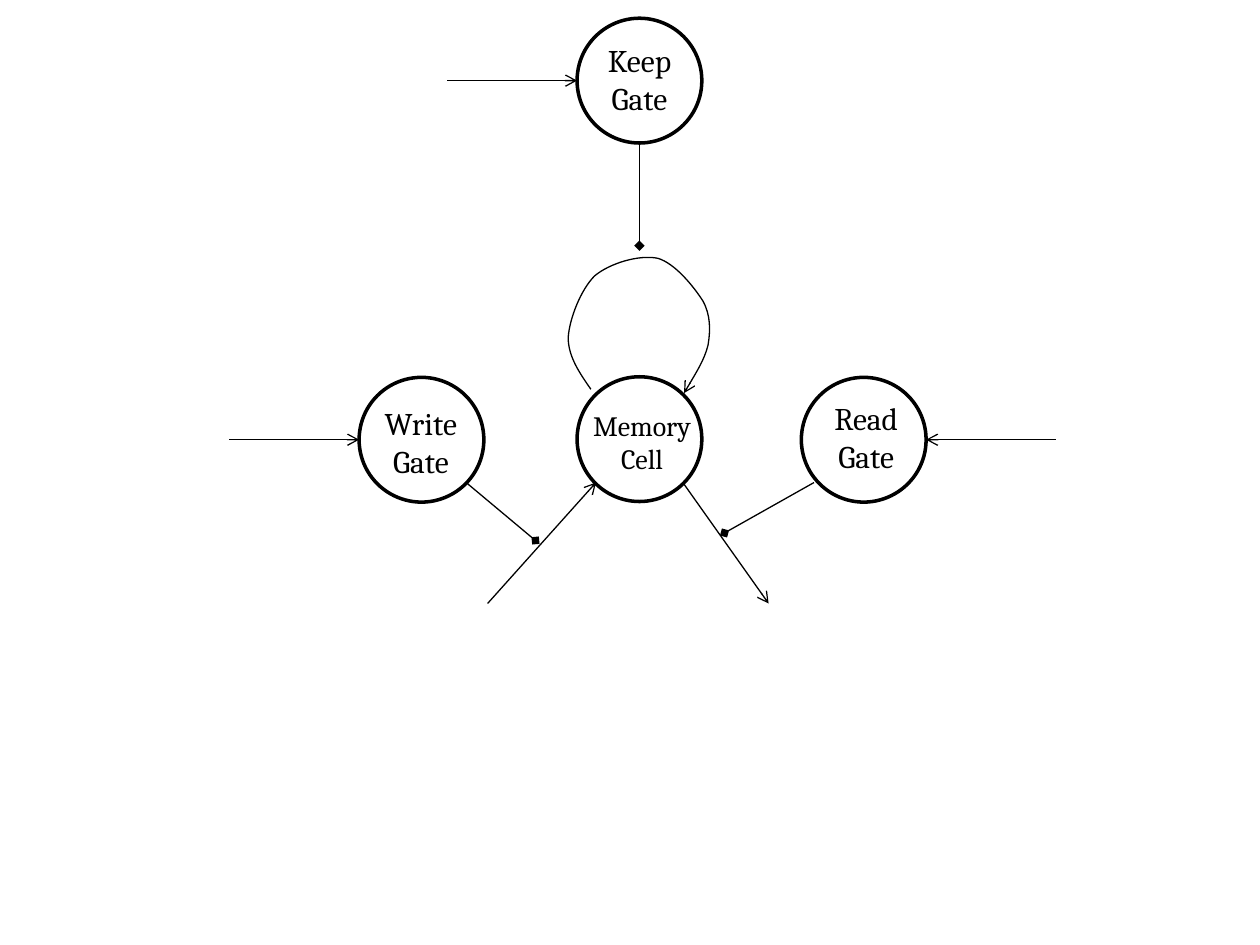
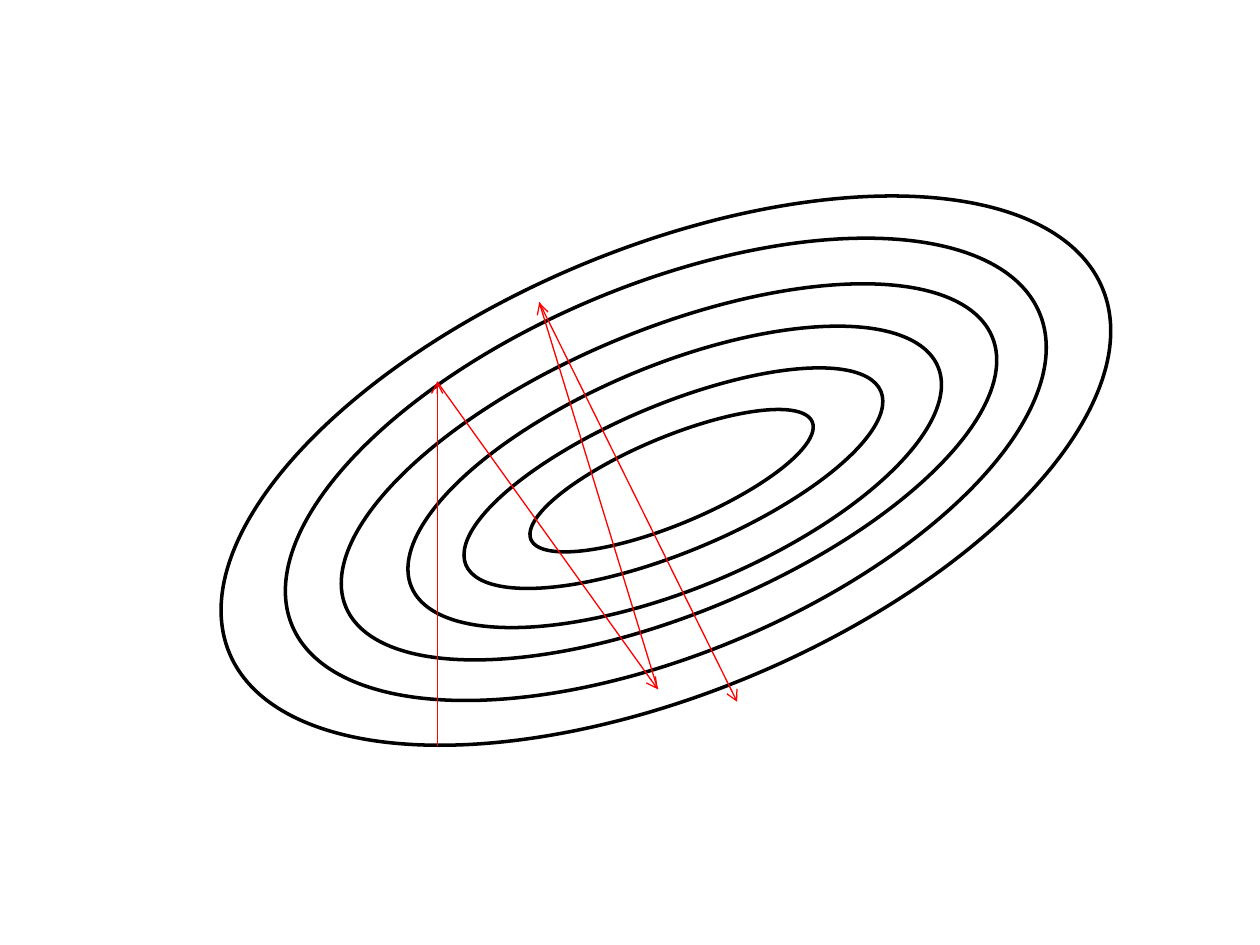
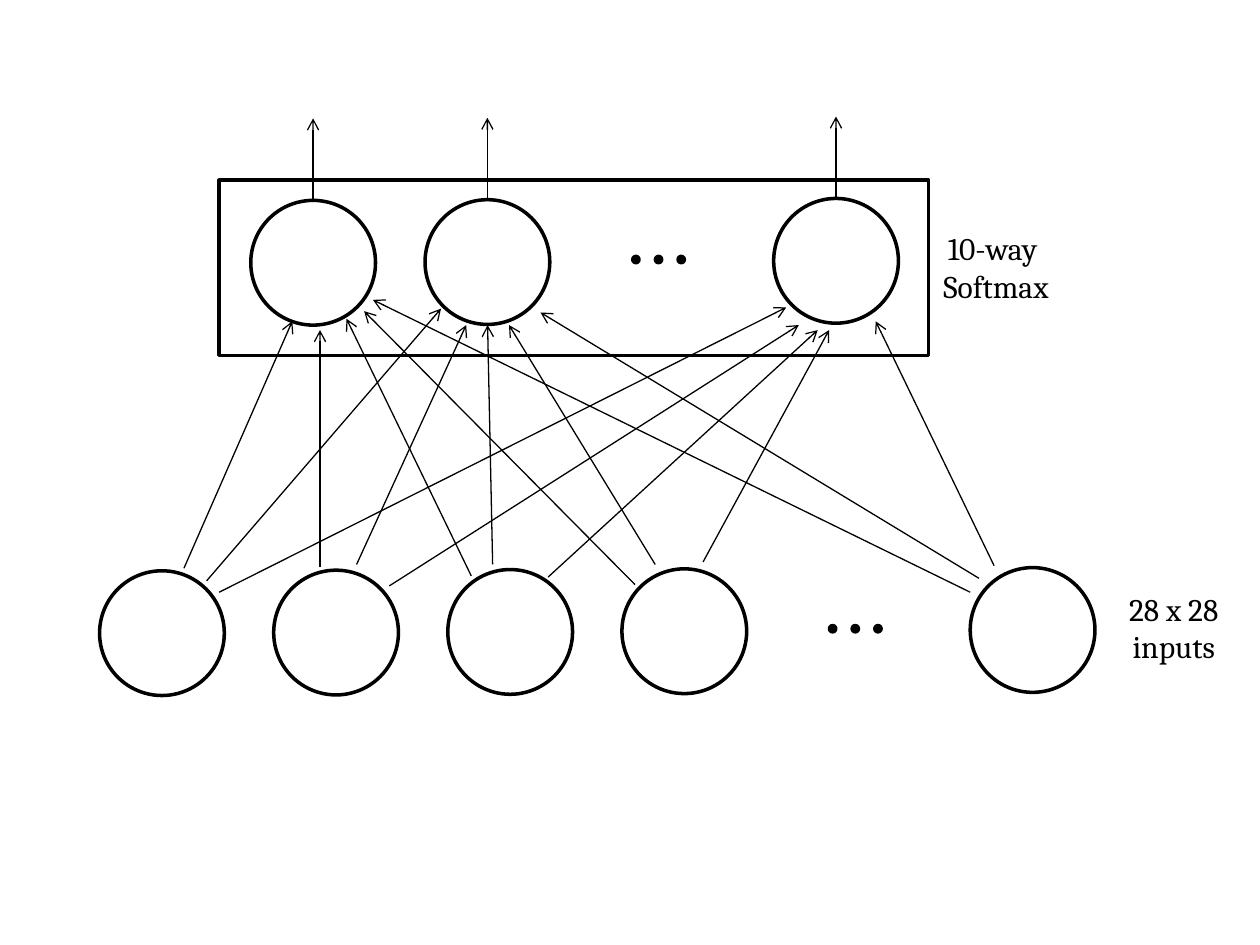
from dataclasses import dataclass
from itertools import pairwise

from lxml.etree import SubElement
from pptx import Presentation
from pptx.dml.color import RGBColor
from pptx.enum.shapes import MSO_CONNECTOR, MSO_SHAPE
from pptx.enum.text import MSO_AUTO_SIZE, PP_ALIGN
from pptx.oxml.ns import qn
from pptx.util import Emu, Inches, Pt

BLACK = RGBColor(0x00, 0x00, 0x00)
WHITE = RGBColor(0xFF, 0xFF, 0xFF)
RED = RGBColor(0xFF, 0x00, 0x00)
FONT = "Cambria"

# The slide is a grid of 100 columns and 75 rows; all lengths count its cells.
SLIDE_WIDTH, SLIDE_HEIGHT = Inches(10), Inches(7.5)
CELL = SLIDE_WIDTH // 100

NODE = 9.9
DOT = 0.5
OUTLINE, THIN = Pt(2), Pt(0.75)


@dataclass
class Box:
    left: float
    top: float
    width: float
    height: float

    def point(self, x, y):
        """Slide position, in EMU, of a point counted from the box's corner."""
        return Emu(round((self.left + x) * CELL)), Emu(round((self.top + y) * CELL))

    def inner(self, x, y, width, height):
        return Box(self.left + x, self.top + y, width, height)

    def around(self, x, y, width, height):
        """Box of the given size centred on a point of this box."""
        return self.inner(x - width / 2, y - height / 2, width, height)

    def frame(self):
        return *self.point(0, 0), round(self.width * CELL), round(self.height * CELL)


def add_outline(page, box, kind=MSO_SHAPE.OVAL, fill=None, rotation=0):
    shape = page.shapes.add_shape(kind, *box.frame())
    shape.shadow.inherit = False
    shape.rotation = rotation
    if fill is None:
        shape.fill.background()
    else:
        shape.fill.solid()
        shape.fill.fore_color.rgb = fill
    shape.line.color.rgb = BLACK
    shape.line.width = OUTLINE
    return shape


def style_path(shape, color, end):
    """Thin line with an end mark: arrow or diamond."""
    shape.line.color.rgb = color
    shape.line.width = THIN
    properties = shape._element.spPr
    SubElement(properties.find(qn("a:ln")), qn("a:tailEnd"), type=end)
    if properties.find(qn("a:effectLst")) is None:
        SubElement(properties, qn("a:effectLst"))


def add_arrow(page, box, start, finish, color=BLACK, end="arrow"):
    connector = page.shapes.add_connector(
        MSO_CONNECTOR.STRAIGHT, *box.point(*start), *box.point(*finish))
    style_path(connector, color, end)
    return connector


def add_curve(page, box, points):
    """Bezier path: a start point, then three points for each curve."""
    start, *others = [box.point(*point) for point in points]
    builder = page.shapes.build_freeform(*start)
    builder.add_line_segments(others, close=False)
    shape = builder.convert_to_shape()
    outline = shape._element.find(".//" + qn("a:path"))
    segments = outline.findall(qn("a:lnTo"))
    for first in range(0, len(segments), 3):
        curve = SubElement(outline, qn("a:cubicBezTo"))
        for segment in segments[first:first + 3]:
            curve.append(segment[0])
            outline.remove(segment)
    shape.shadow.inherit = False
    shape.fill.background()
    style_path(shape, BLACK, "arrow")


def add_label(page, box, text, size=18):
    frame = page.shapes.add_textbox(*box.frame()).text_frame
    frame.word_wrap = False
    frame.auto_size = MSO_AUTO_SIZE.SHAPE_TO_FIT_TEXT
    frame.text = text
    for para in frame.paragraphs:
        para.alignment = PP_ALIGN.CENTER
        para.font.name = FONT
        para.font.size = Pt(size)
        para.font.color.rgb = BLACK


def draw_memory_cell(page, box):
    # Name, centre, shift of the label, size of the label, text size
    units = [
        ("Memory\nCell", (32.75, 33.85), (0.2, 0.25), (10.1, 6.4), 16),
        ("Keep\nGate", (32.75, 5.4), (0, -0.05), (7.5, 7.1), 18),
        ("Write\nGate", (15.45, 33.9), (-0.05, 0.25), (8.2, 7.1), 18),
        ("Read\nGate", (50.55, 33.9), (0.2, -0.15), (7.5, 7.1), 18),
    ]
    for name, (x, y), (shift_x, shift_y), label_size, text_size in units:
        add_outline(page, box.around(x, y, NODE, NODE))
        add_label(page, box.around(x + shift_x, y + shift_y, *label_size),
                  name, size=text_size)

    input_length = 10.3
    (_, keep, *_), (_, write, *_), (_, read, *_) = units[1:]
    for (x, y), side in ((keep, -1), (write, -1), (read, 1)):
        edge = x + side * NODE / 2
        add_arrow(page, box, (edge + side * input_length, y), (edge, y))

    add_arrow(page, box, (20.7, 46.9), (29.3, 37.3))
    add_arrow(page, box, (36.2, 37.3), (43, 46.9))
    for start, finish in (((32.75, 10.5), (32.75, 18.5)),
                          ((46.6, 37.3), (39.5, 41.3)),
                          ((19, 37.3), (24.5, 41.9))):
        add_arrow(page, box, start, finish, end="diamond")
    add_curve(page, box, [
        (28.9, 29.9),
        (28, 28.6), (27.1, 27.3), (27.1, 25.8),
        (27.2, 24.3), (28.1, 22), (29.2, 20.9),
        (30.4, 19.9), (32.7, 19.2), (34.2, 19.5),
        (35.6, 19.9), (37.1, 21.8), (37.8, 22.9),
        (38.4, 24), (38.4, 25.2), (38.2, 26.4),
        (37.9, 27.6), (36.3, 30.2), (36.3, 30.2),
    ])


def draw_error_contours(page, box):
    # Centre, then length and breadth of each ring
    rings = [
        (37.85, 18.35, 75.1, 35.3),
        (37.85, 18.25, 64.3, 29.3),
        (38.1, 18.45, 55.6, 22.5),
        (38.55, 18.85, 45.3, 17.7),
        (38.45, 18.95, 35.7, 11.7),
        (38.3, 19.15, 24.2, 6.9),
    ]
    for ring in rings:
        add_outline(page, box.around(*ring), fill=WHITE, rotation=337.3)
    steps = [(19.7, 40.2), (19.7, 11.3), (37.2, 35.7), (27.8, 5), (43.5, 36.7)]
    for start, finish in pairwise(steps):
        add_arrow(page, box, start, finish, color=RED)


def add_layer(page, box, columns, gap):
    """Row of nodes with three dots in the gap column; gives the nodes."""
    pitch = (box.width - NODE) / (columns - 1)
    rise = 0.05
    nodes = []
    for column in range(columns):
        left, top = column * pitch, -column * rise
        if column != gap:
            nodes.append(add_outline(page, box.inner(left, top, NODE, NODE)))
            continue
        for offset in (-2.05, -0.25, 1.55):
            add_outline(page, box.around(left + NODE / 2 + offset,
                                         top + NODE / 2 - 0.15, DOT, DOT), fill=BLACK)
    return nodes


def add_softmax(page, box):
    output_length = 6.5
    add_outline(page, box, kind=MSO_SHAPE.RECTANGLE)
    nodes = add_layer(page, box.inner(2.5, 1.6, 51.4, NODE), columns=4, gap=2)
    for node in nodes:
        x = (node.left + node.width / 2) / CELL - box.left
        y = node.top / CELL - box.top
        arrow = add_arrow(page, box, (x, y), (x, y - output_length))
        arrow.begin_connect(node, 0)


def draw_network(page, box):
    add_softmax(page, box.inner(9.5, 5, 56.3, 13.9))
    add_layer(page, box.inner(0, 36, 79, NODE), columns=6, gap=4)
    weights = [
        ((6.7, 35.8), (15.3, 16.2)),
        ((8.5, 36.8), (27.1, 15.2)),
        ((9.5, 37.7), (54.5, 15.1)),
        ((17.5, 35.7), (17.5, 16.9)),
        ((20.4, 35.5), (29.1, 16.5)),
        ((23, 37.2), (55.5, 16.5)),
        ((29.5, 36.4), (19.6, 16)),
        ((31.2, 35.5), (30.8, 16.5)),
        ((35.6, 36.5), (57, 16.9)),
        ((44.1, 35.5), (32.5, 16.5)),
        ((42.5, 37.1), (21, 15.4)),
        ((47.9, 35.3), (57.9, 16.9)),
        ((69.1, 37.7), (21.7, 14.5)),
        ((69.8, 36.6), (35, 15.5)),
        ((71, 35.6), (61.6, 16.2)),
    ]
    for start, finish in weights:
        add_arrow(page, box, start, finish)
    add_label(page, box.around(71.15, 11.95, 10.9, 7.1), "10-way \nSoftmax")
    add_label(page, box.around(85.25, 40.55, 9.9, 7.1), "28 x 28\ninputs")


def main():
    deck = Presentation()
    deck.slide_width, deck.slide_height = SLIDE_WIDTH, SLIDE_HEIGHT
    blank = deck.slide_layouts[6]
    drawings = [
        (draw_memory_cell, Box(18, 1, 66, 47)),
        (draw_error_contours, Box(15, 19, 76, 41)),
        (draw_network, Box(7.9, 9.3, 91, 46)),
    ]
    for draw, box in drawings:
        draw(deck.slides.add_slide(blank), box)
    deck.save("out.pptx")


if __name__ == "__main__":
    main()
